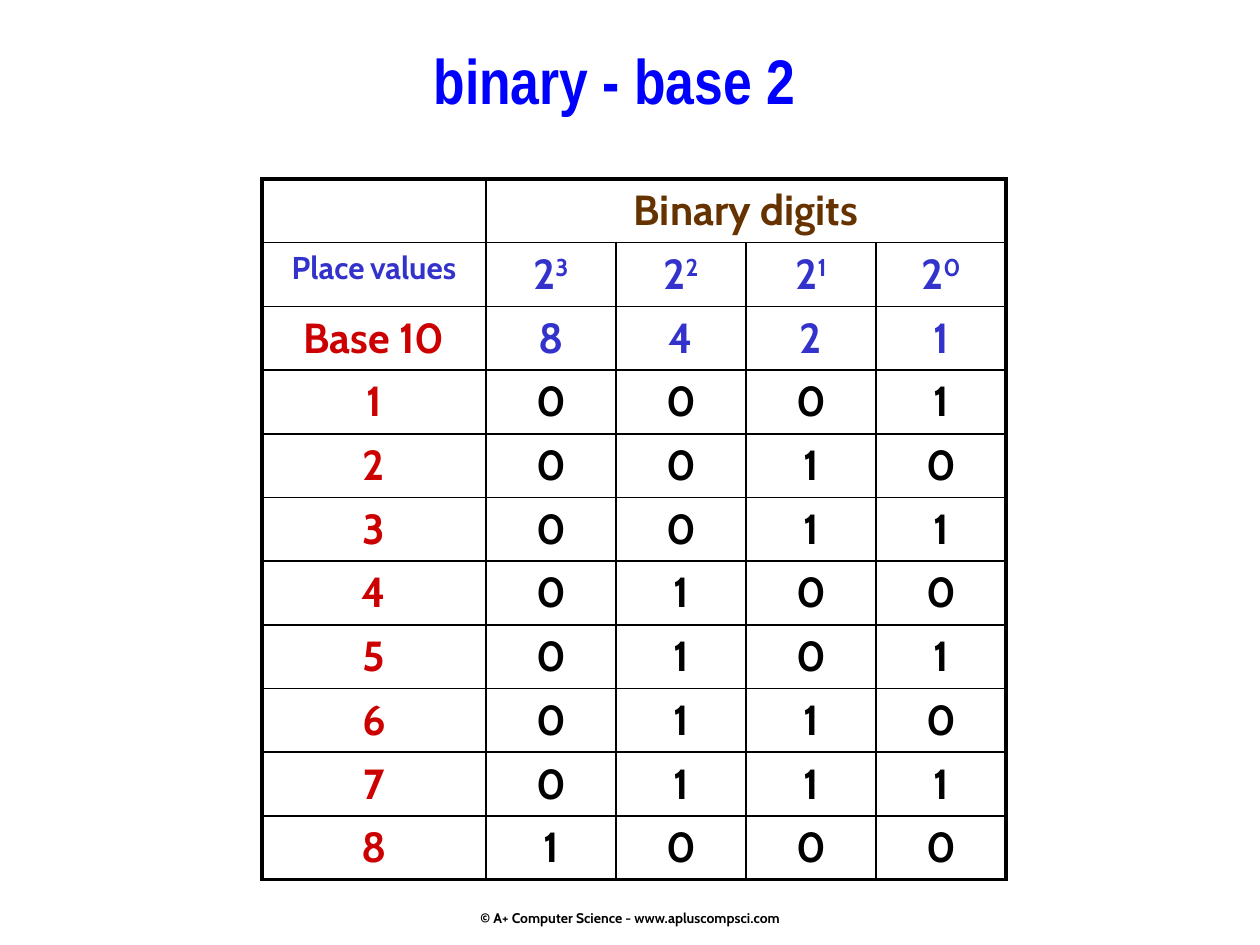
from lxml.etree import SubElement
from pptx import Presentation
from pptx.dml.color import RGBColor as Rgb
from pptx.enum.text import MSO_ANCHOR as Anchor, PP_ALIGN as Align
from pptx.oxml import parse_xml
from pptx.oxml.ns import nsdecls, qn
from pptx.util import Pt

PX = 914400 // 126
COLORS = {
    "black": "000000",
    "blue": "0000FF",
    "yellow": "FFFF00",
    "brown": "663300",
    "indigo": "3333CC",
    "red": "CC0000",
}
COLUMN_WIDTHS = [224, 130, 130, 130, 130]
ROW_HEIGHT = 63
LAST_NUMBER = 8


class SlideBuilder:
    body_font = "Cabin"
    title_font = "Arial Narrow"
    thin, thick = 1, 2.25

    def __init__(self, deck):
        self.slide = deck.slides.add_slide(deck.slide_layouts[5])

    def place(self, box, left, top, width, height):
        box.left, box.top = left * PX, top * PX
        box.width, box.height = width * PX, height * PX

    def add_run(self, para, text, size, color, font=None, baseline=0):
        para.alignment = Align.CENTER
        span = para.add_run()
        span.text = text
        span.font.name = font or self.body_font
        span.font.size = Pt(size)
        span.font.bold = True
        span.font.color.rgb = Rgb.from_string(COLORS[color])
        if baseline:
            span._r.get_or_add_rPr().set("baseline", str(baseline * 1000))
        return span

    def write_line(self, box, text, size, color, font=None):
        frame = box.text_frame
        frame.word_wrap = False
        frame.vertical_anchor = Anchor.MIDDLE
        return self.add_run(frame.paragraphs[0], text, size, color, font)

    def add_title(self, text, *area):
        box = self.slide.shapes.title
        self.place(box, *area)
        span = self.write_line(box, text, 36, "blue", self.title_font)
        outline = parse_xml(
            f'<a:ln {nsdecls("a")} w="{Pt(0.75)}"><a:solidFill>'
            f'<a:srgbClr val="{COLORS["yellow"]}"/></a:solidFill></a:ln>'
        )
        span._r.get_or_add_rPr().insert(0, outline)

    def add_footer(self, text, *area):
        box = self.slide.shapes.add_textbox(0, 0, 0, 0)
        self.place(box, *area)
        self.write_line(box, text, 8, "black")

    def set_borders(self, cell, widths):
        props = cell._tc.get_or_add_tcPr()
        for side, width in zip("LRTB", widths):
            line = SubElement(props, qn(f"a:ln{side}"), w=str(Pt(width)))
            fill = SubElement(line, qn("a:solidFill"))
            SubElement(fill, qn("a:srgbClr"), val=COLORS["black"])

    def add_table(self, rows, left, top):
        last_row, last_column = len(rows) - 1, len(COLUMN_WIDTHS) - 1
        frame = self.slide.shapes.add_table(
            len(rows), len(COLUMN_WIDTHS), left * PX, top * PX,
            sum(COLUMN_WIDTHS) * PX, len(rows) * ROW_HEIGHT * PX,
        )
        table = frame.table
        table.first_row = table.horz_banding = False
        for column, width in zip(table.columns, COLUMN_WIDTHS):
            column.width = width * PX
        table.cell(0, 1).merge(table.cell(0, last_column))
        for r, row in enumerate(rows):
            table.rows[r].height = ROW_HEIGHT * PX
            for c in range(last_column + 1):
                cell = table.cell(r, c)
                right = c + cell.span_width - 1 if cell.is_merge_origin else c
                edges = (c == 0, right == last_column, r == 0, r == last_row)
                self.set_borders(cell, [self.thick if edge else self.thin for edge in edges])
                cell.fill.background()
                for run in row[c] if c < len(row) else []:
                    self.add_run(cell.text_frame.paragraphs[0], **run)


def run(text, color, size=24, baseline=0):
    return dict(text=str(text), color=color, size=size, baseline=baseline)


def binary_rows():
    powers = [3, 2, 1, 0]
    place_values = [run("Place", "indigo", 18), run(" ", "red", 14), run("values", "indigo", 18)]
    rows = [
        [[], [run("Binary digits", "brown")]],
        [place_values] + [[run(2, "indigo"), run(p, "indigo", baseline=30)] for p in powers],
        [[run("Base 10", "red")]] + [[run(2 ** p, "indigo")] for p in powers],
    ]
    for number in range(1, LAST_NUMBER + 1):
        digits = [[run(digit, "black")] for digit in format(number, "04b")]
        rows.append([[run(number, "red")]] + digits)
    return rows


def main():
    deck = Presentation()
    deck.slide_width, deck.slide_height = 1260 * PX, 945 * PX
    page = SlideBuilder(deck)
    page.add_title("binary - base 2", 84, 32, 1061, 95)
    page.add_table(binary_rows(), 262, 179)
    page.add_footer("© A+ Computer Science - www.apluscompsci.com", 431, 900, 399, 36)
    deck.save("out.pptx")


if __name__ == "__main__":
    main()
